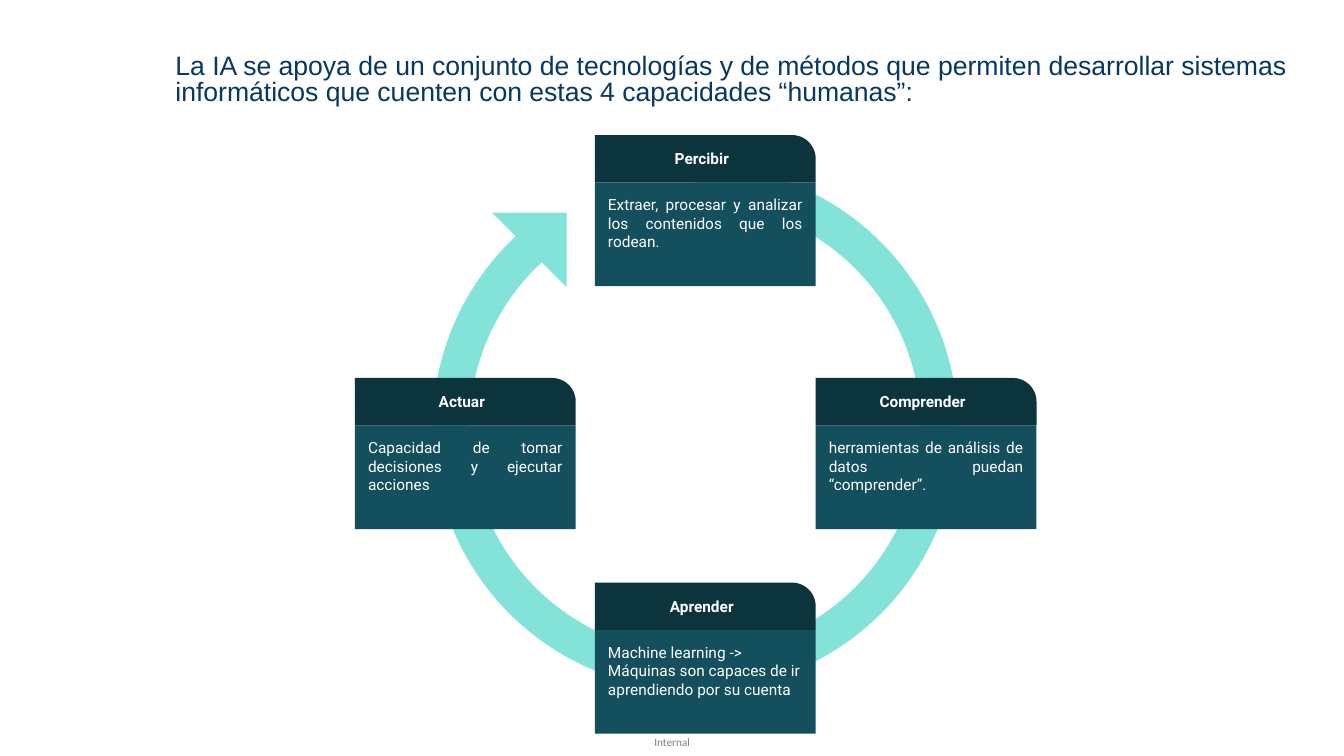
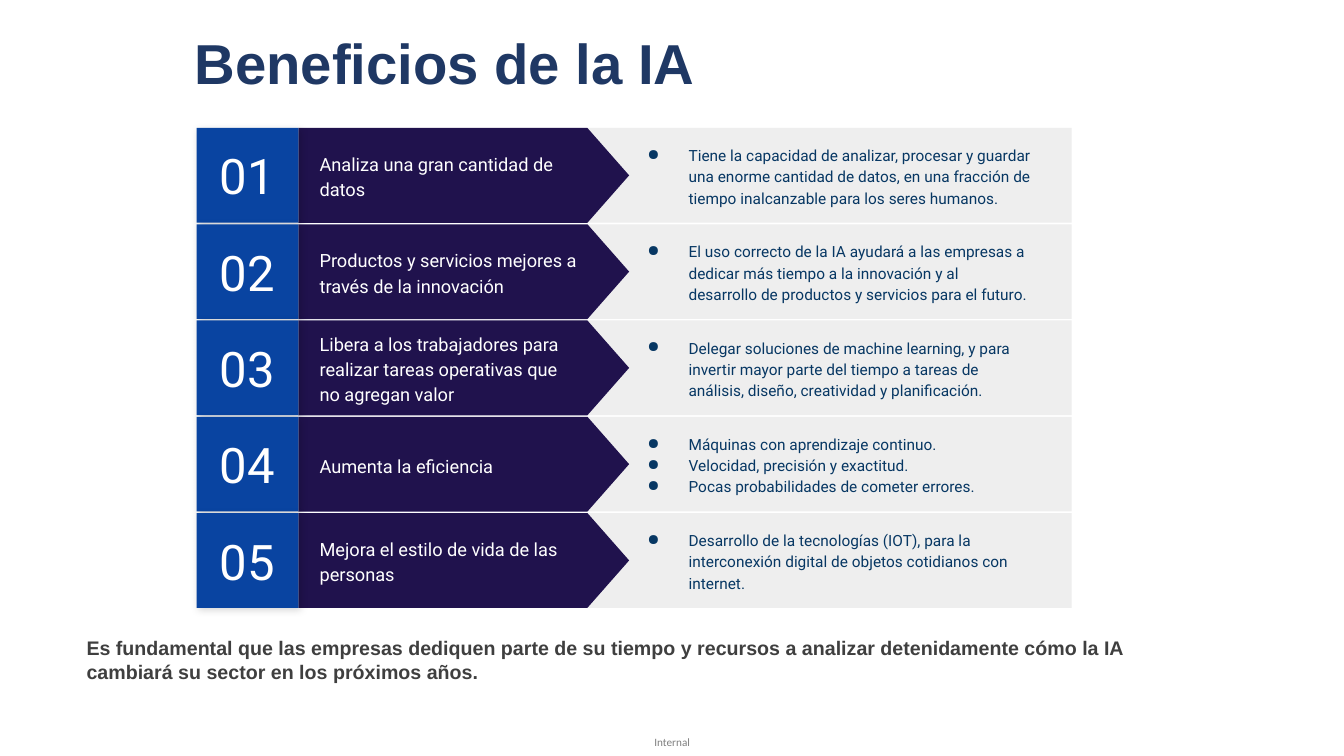
from lxml import etree
from pptx import Presentation
from pptx.dml.color import RGBColor
from pptx.enum.shapes import MSO_SHAPE
from pptx.enum.text import MSO_ANCHOR, MSO_AUTO_SIZE, PP_ALIGN
from pptx.oxml.ns import qn
from pptx.util import Inches, Pt

LEFT, CENTER, JUSTIFY = PP_ALIGN.LEFT, PP_ALIGN.CENTER, PP_ALIGN.JUSTIFY
TOP, MIDDLE, BOTTOM = MSO_ANCHOR.TOP, MSO_ANCHOR.MIDDLE, MSO_ANCHOR.BOTTOM
NO_AUTOFIT = MSO_AUTO_SIZE.NONE
RECTANGLE = MSO_SHAPE.RECTANGLE
ROUND_CORNER = MSO_SHAPE.ROUND_1_RECTANGLE
BLOCK_ARC = MSO_SHAPE.BLOCK_ARC
RIGHT_TRIANGLE = MSO_SHAPE.RIGHT_TRIANGLE
PENTAGON = MSO_SHAPE.PENTAGON

COLORS = {
    "white": "FFFFFF", "black": "000000", "footer": "7F7F7F",
    "ring": "83E3D9", "card": "134F5C", "card_header": "0C343D",
    "navy": "073763", "title": "1F3864", "closing": "3F3F3F",
    "number": "0944A1", "arrow": "20124D", "band": "EEEEEE",
}


def add_box(shapes, kind, left, top, width, height, fill):
    """Add a filled shape without outline or shadow."""
    shape = shapes.add_shape(kind, Inches(left), Inches(top), Inches(width), Inches(height))
    shape.shadow.inherit = False
    shape.fill.solid()
    shape.fill.fore_color.rgb = RGBColor.from_string(COLORS[fill])
    shape.line.fill.background()
    return shape


def write(shape, *lines, size=11, font="Roboto", color="white", bold=False, align=LEFT,
          anchor=TOP, insets=(0.13, 0.13, 0.13, 0.13), spacing=1.0, bullet=None, wrap=True):
    """Fill a shape with one formatted paragraph per line."""
    frame = shape.text_frame
    frame.auto_size = NO_AUTOFIT
    frame.word_wrap = wrap
    frame.vertical_anchor = anchor
    (frame.margin_left, frame.margin_top,
     frame.margin_right, frame.margin_bottom) = map(Inches, insets)
    for index, line in enumerate(lines):
        paragraph = frame.add_paragraph() if index else frame.paragraphs[0]
        paragraph.alignment = align
        paragraph.line_spacing = spacing
        if bullet:
            properties = paragraph._p.get_or_add_pPr()
            properties.set("marL", str(Inches(0.67)))
            properties.set("indent", str(Inches(-0.41)))
            etree.SubElement(properties, qn("a:buChar")).set("char", bullet)
        run = paragraph.add_run()
        run.text = line
        run.font.size = Pt(size)
        run.font.name = font
        run.font.bold = bold
        run.font.color.rgb = RGBColor.from_string(COLORS[color])


presentation = Presentation()
presentation.slide_width = Inches(13.33)
presentation.slide_height = Inches(7.5)
layout = presentation.slide_layouts[5]

# Titles
title_specs = [
    ("La IA se apoya de un conjunto de tecnologías y de métodos que permiten desarrollar "
     "sistemas informáticos que cuenten con estas 4 capacidades “humanas”:",
     (1.64, 0.5, 11.32, 1.01),
     {"size": 19, "color": "navy", "anchor": TOP, "spacing": 0.8}),
    ("Beneficios de la IA",
     (1.83, 0.14, 10, 0.87),
     {"size": 40.2, "color": "title", "anchor": BOTTOM, "spacing": 0.9, "bold": True}),
]
for text, place, text_format in title_specs:
    title = presentation.slides.add_slide(layout).shapes.title
    title.left, title.top, title.width, title.height = map(Inches, place)
    write(title, text, font="Arial", insets=(0.1, 0.05, 0.1, 0.05), **text_format)
cycle_slide, benefits_slide = presentation.slides

# Footer, moved to the shared layout
footer = cycle_slide.shapes.add_textbox(Inches(6.49), Inches(7.3), Inches(0.38), Inches(0.13))
write(footer, "Internal", size=8, font="Calibri", color="footer", insets=(0, 0, 0, 0), wrap=False)
footer.element.nvSpPr.cNvPr.set("id", "20")
layout.shapes.element.append(footer.element)

# Slide 1: ring with arrowhead
ring_group = cycle_slide.shapes.add_group_shape()
ring = add_box(ring_group.shapes, BLOCK_ARC, 4.29, 1.64, 5.21, 5.21, "ring")
ring.adjustments[0] = 54
ring.adjustments[1] = 30.13
ring.adjustments[2] = 0.07
ring.rotation = 180
arrowhead = add_box(ring_group.shapes, RIGHT_TRIANGLE, 4.88, 2.11, 0.74, 0.74, "ring")
arrowhead.rotation = 180

# Slide 1: capability cards
CARD_WIDTH, HEADER_HEIGHT, BODY_HEIGHT = 2.19, 0.47, 1.03
cards = [
    (3.52, 3.75, "Actuar", "Capacidad de tomar decisiones y ejecutar acciones", JUSTIFY),
    (5.9, 1.34, "Percibir", "Extraer, procesar y analizar los contenidos que los rodean.", JUSTIFY),
    (8.09, 3.75, "Comprender", "herramientas de análisis de datos puedan “comprender”.", JUSTIFY),
    (5.9, 5.78, "Aprender",
     "Machine learning -> Máquinas son capaces de ir aprendiendo por su cuenta", LEFT),
]
for left, top, heading, description, align in cards:
    card = cycle_slide.shapes.add_group_shape()
    body = add_box(card.shapes, RECTANGLE, left, top + HEADER_HEIGHT,
                   CARD_WIDTH, BODY_HEIGHT, "card")
    write(body, description, align=align)
    header = add_box(card.shapes, ROUND_CORNER, left, top,
                     CARD_WIDTH, HEADER_HEIGHT, "card_header")
    header.adjustments[0] = 0.5
    write(header, heading, bold=True, align=CENTER, anchor=MIDDLE)

# Slide 2: numbered benefits
FIRST_TOP, LAST_TOP, ROW_HEIGHT = 1.27, 5.09, 0.94
benefits = [
    ("Analiza una gran cantidad de datos",
     ["Tiene la capacidad de analizar, procesar y guardar una enorme cantidad de datos, "
      "en una fracción de tiempo inalcanzable para los seres humanos."]),
    ("Productos y servicios mejores a través de la innovación",
     ["El uso correcto de la IA ayudará a las empresas a dedicar más tiempo a la innovación "
      "y al desarrollo de productos y servicios para el futuro."]),
    ("Libera a los trabajadores para realizar tareas operativas que no agregan valor",
     ["Delegar soluciones de machine learning, y para invertir mayor parte del tiempo a "
      "tareas de análisis, diseño, creatividad y planificación."]),
    ("Aumenta la eficiencia",
     ["Máquinas con aprendizaje continuo.",
      "Velocidad, precisión y exactitud.",
      "Pocas probabilidades de cometer errores."]),
    ("Mejora el estilo de vida de las personas",
     ["Desarrollo de la tecnologías (IOT), para la interconexión digital de objetos "
      "cotidianos con internet."]),
]
row_pitch = (LAST_TOP - FIRST_TOP) / (len(benefits) - 1)
for index, (benefit, details) in enumerate(benefits):
    top = FIRST_TOP + index * row_pitch
    row = benefits_slide.shapes.add_group_shape()
    add_box(row.shapes, RECTANGLE, 5.06, top, 5.57, ROW_HEIGHT, "band")

    arrow = add_box(row.shapes, PENTAGON, 2.96, top, 3.28, ROW_HEIGHT, "arrow")
    arrow.adjustments[0] = 0.44
    write(arrow, benefit, size=13, anchor=MIDDLE, spacing=1.15, insets=(0.21, 0, 0.29, 0))

    number = add_box(row.shapes, RECTANGLE, 1.95, top, 1.01, ROW_HEIGHT, "number")
    write(number, f"{index + 1:02}", size=35, align=CENTER, anchor=MIDDLE)
    effects = number.element.spPr.find(qn("a:effectLst"))
    shadow = etree.SubElement(effects, qn("a:outerShdw"), blurRad=str(Pt(5.6)),
                              dist=str(Pt(2.2)), dir="2700000", algn="tl", rotWithShape="0")
    shadow_color = etree.SubElement(shadow, qn("a:srgbClr"), val=COLORS["black"])
    etree.SubElement(shadow_color, qn("a:alpha"), val="17000")

    detail_box = row.shapes.add_textbox(Inches(6.03), Inches(top), Inches(4.33), Inches(ROW_HEIGHT))
    write(detail_box, *details, color="navy", anchor=MIDDLE, spacing=1.15, bullet="●")

# Slide 2: closing statement
closing = benefits_slide.shapes.add_textbox(Inches(0.76), Inches(6.21), Inches(10.89), Inches(0.91))
write(closing,
      "Es fundamental que las empresas dediquen parte de su tiempo y recursos a analizar "
      "detenidamente cómo la IA cambiará su sector en los próximos años.",
      size=14, font="Arial", color="closing", bold=True, insets=(0.1, 0.1, 0.1, 0.1))

presentation.save("out.pptx")
